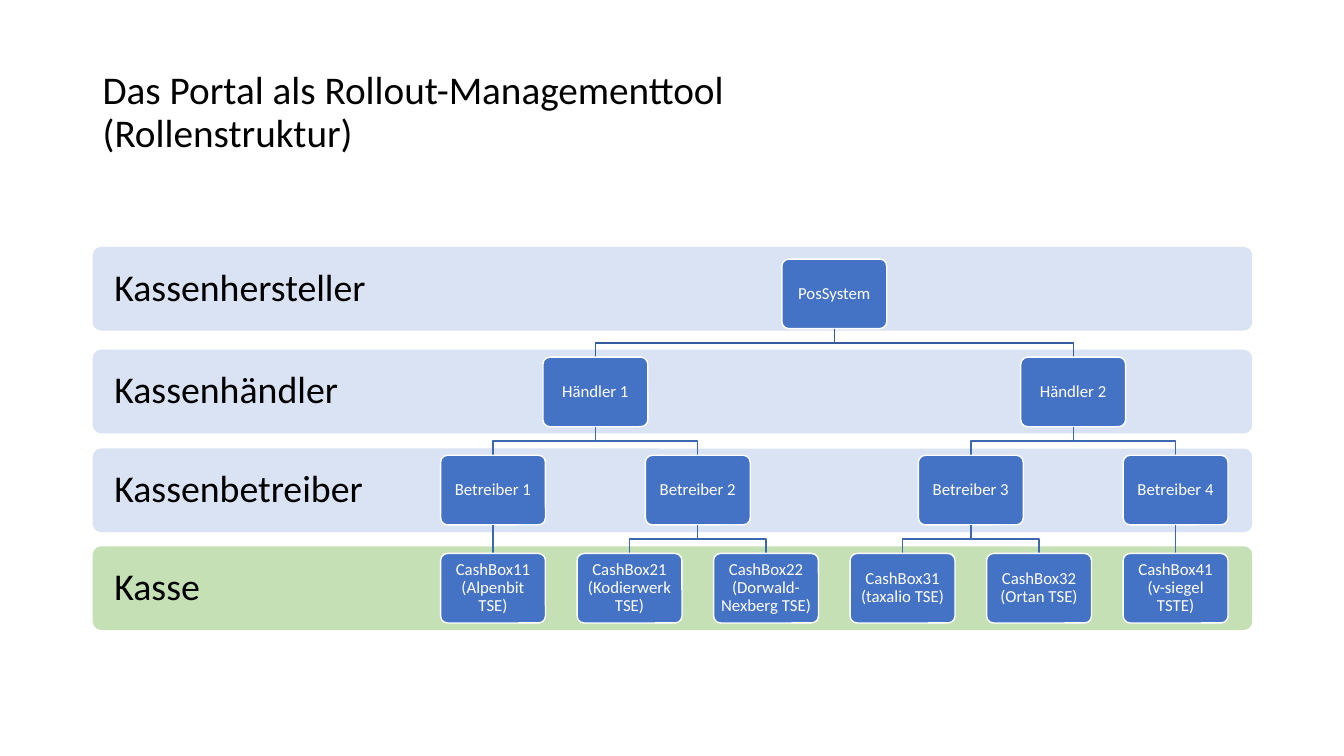
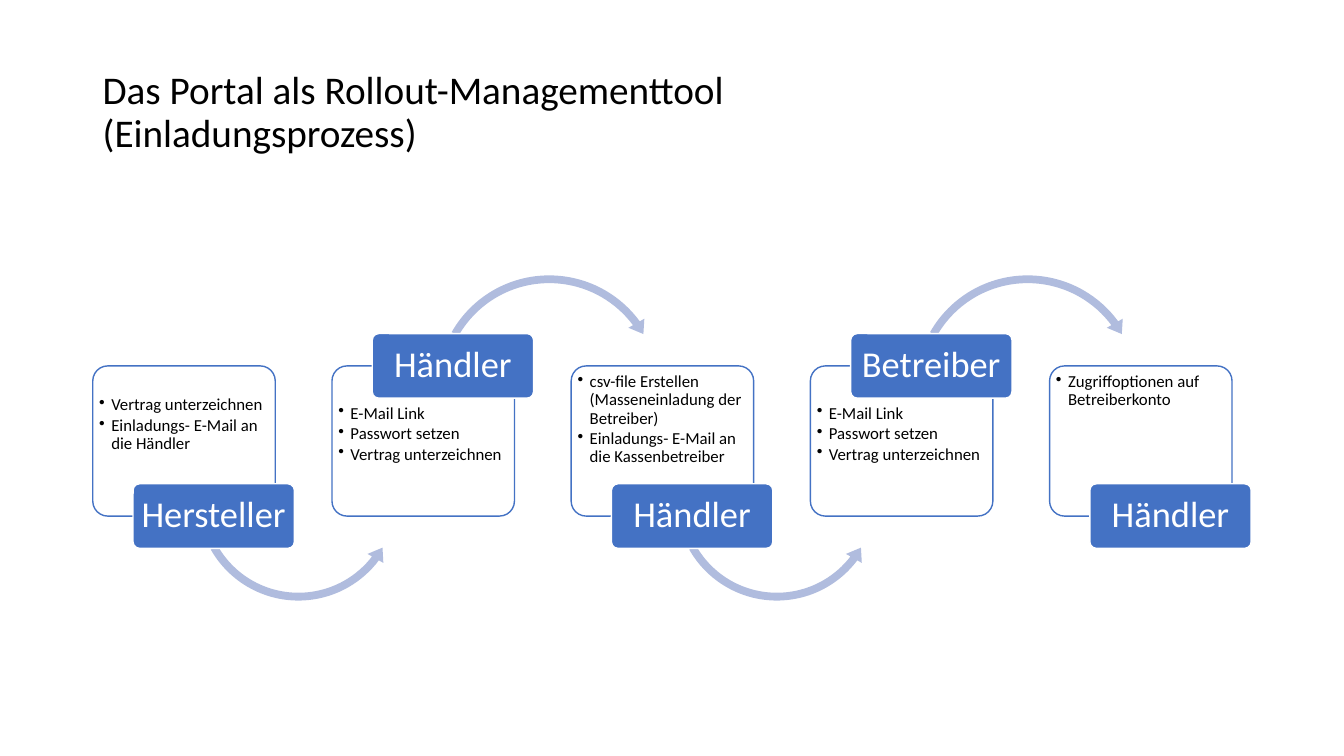
"""Build two slides on a rollout portal: the role hierarchy and the invitation process."""
from lxml import etree
from pptx import Presentation
from pptx.dml.color import RGBColor
from pptx.enum.shapes import MSO_CONNECTOR, MSO_SHAPE
from pptx.enum.text import MSO_ANCHOR, PP_ALIGN
from pptx.oxml.ns import qn
from pptx.util import Inches, Pt

STRAIGHT = MSO_CONNECTOR.STRAIGHT
ROUNDED = MSO_SHAPE.ROUNDED_RECTANGLE
ARC_OVER = MSO_SHAPE.CIRCULAR_ARROW
ARC_UNDER = MSO_SHAPE.LEFT_CIRCULAR_ARROW
TOP, MIDDLE = MSO_ANCHOR.TOP, MSO_ANCHOR.MIDDLE
LEFT, CENTER = PP_ALIGN.LEFT, PP_ALIGN.CENTER

FONT = "Calibri"
COLORS = {
    "text": "000000",
    "white": "FFFFFF",
    "blue": "4472C4",
    "role band": "DAE3F3",
    "till band": "C5E0B4",
    "root line": "365B9D",
    "branch line": "3E67B2",
    "arc": "B0BCDE",
}
STYLES = {
    "title": dict(size=28, color="text", align=LEFT, anchor=MIDDLE, margins=(0.1, 0.05)),
    "band": dict(size=27, color="text", align=LEFT, anchor=MIDDLE, margins=(0.19, 0.19)),
    "node": dict(size=12, color="white", align=CENTER, anchor=MIDDLE, margins=(0.05, 0.05)),
    "badge": dict(size=26, color="white", align=CENTER, anchor=MIDDLE, margins=(0.05, 0.04)),
    "card": dict(size=12, color="text", align=LEFT, anchor=TOP, margins=(0.02, 0.03)),
}

LEFT_EDGE, CONTENT_WIDTH = 0.92, 11.5

ROLES_TITLE = "Das Portal als Rollout-Managementtool\n(Rollenstruktur)"
BANDS = [
    ("Kassenhersteller", 2.45, "role band"),
    ("Kassenhändler", 3.47, "role band"),
    ("Kassenbetreiber", 4.45, "role band"),
    ("Kasse", 5.42, "till band"),
]
BAND_HEIGHT = 0.83
ROLE_TREE = ("PosSystem", [
    ("Händler 1", [
        ("Betreiber 1", [("CashBox11 (Alpenbit TSE)", [])]),
        ("Betreiber 2", [
            ("CashBox21 (Kodierwerk TSE)", []),
            ("CashBox22 (Dorwald-Nexberg TSE)", []),
        ]),
    ]),
    ("Händler 2", [
        ("Betreiber 3", [
            ("CashBox31 (taxalio TSE)", []),
            ("CashBox32 (Ortan TSE)", []),
        ]),
        ("Betreiber 4", [("CashBox41 (v-siegel TSTE)", [])]),
    ]),
])
NODE_WIDTH, NODE_HEIGHT = 1.04, 0.69
FIRST_LEAF, LEAF_PITCH = 4.89, (11.66 - 4.89) / 5
FIRST_ROW, ROW_PITCH = 2.57, (5.49 - 2.57) / 3

PROCESS_TITLE = "Das Portal als Rollout-Managementtool\n(Einladungsprozess)"
RECEIVER_TASKS = ["E-Mail Link", "Passwort setzen", "Vertrag unterzeichnen"]
STEPS = [
    ("Hersteller", "below", 0.26,
     ["Vertrag unterzeichnen", "Einladungs- E-Mail an die Händler"]),
    ("Händler", "above", 0.34, RECEIVER_TASKS),
    ("Händler", "below", 0.03,
     ["csv-file Erstellen (Masseneinladung der Betreiber)",
      "Einladungs- E-Mail an die Kassenbetreiber"]),
    ("Betreiber", "above", 0.34, RECEIVER_TASKS),
    ("Händler", "below", 0.03, ["Zugriffoptionen auf Betreiberkonto"]),
]
BADGE_TOPS = {"below": 4.8, "above": 3.31}
ARCS = {
    "below": (ARC_UNDER, 3.91, 2.1, (0.037, 4.574, 22.329, 90.245, 0.043)),
    "above": (ARC_OVER, 2.68, 2.33, (0.033, 4.086, 194.159, 125.755, 0.039)),
}
STEP_PITCH = (10.41 - LEFT_EDGE) / 4
CARD_TOP, CARD_WIDTH, CARD_HEIGHT = 3.63, 1.81, 1.49
BADGE_WIDTH, BADGE_HEIGHT = 1.6, 0.64
BADGE_OFFSET, ARC_OFFSET = 0.4, 0.99


def rgb(name):
    return RGBColor.from_string(COLORS[name])


def write(shape, style_name, lines, top_margin=None):
    style = STYLES[style_name]
    side, vertical = style["margins"]
    frame = shape.text_frame
    frame_format = {
        "word_wrap": True,
        "vertical_anchor": style["anchor"],
        "margin_left": Inches(side),
        "margin_right": Inches(side),
        "margin_top": Inches(vertical if top_margin is None else top_margin),
        "margin_bottom": Inches(vertical),
    }
    for name, value in frame_format.items():
        setattr(frame, name, value)
    font_format = {"name": FONT, "size": Pt(style["size"])}
    for index, line in enumerate(lines):
        paragraph = frame.add_paragraph() if index else frame.paragraphs[0]
        paragraph.text = line
        paragraph.alignment = style["align"]
        paragraph.line_spacing = 0.9
        for run in paragraph.runs:
            for name, value in font_format.items():
                setattr(run.font, name, value)
            run.font.color.rgb = rgb(style["color"])


def add_bullets(shape):
    for paragraph in shape.text_frame.paragraphs:
        paragraph.space_after = Pt(1.8)
        properties = paragraph._p.get_or_add_pPr()
        properties.set("marL", str(Inches(0.12)))
        properties.set("indent", str(-Inches(0.12)))
        etree.SubElement(properties, qn("a:buChar")).set("char", "•")


def add_block(slide, kind, box, fill, line=None, adjustments=(0.1,)):
    shape = slide.shapes.add_shape(kind, *map(Inches, box))
    shape.shadow.inherit = False
    for index, value in enumerate(adjustments):
        shape.adjustments[index] = value
    shape.fill.solid()
    shape.fill.fore_color.rgb = rgb(fill)
    if line:
        shape.line.color.rgb = rgb(line)
        shape.line.width = Pt(1)
    else:
        shape.line.fill.background()
    return shape


def add_titled_slide(presentation, title):
    slide = presentation.slides.add_slide(presentation.slide_layouts[6])
    box = slide.shapes.add_textbox(*map(Inches, (LEFT_EDGE, 0.4, CONTENT_WIDTH, 1.45)))
    write(box, "title", [title])
    return slide


def add_branch(slide, start, end, color):
    (start_x, start_y), (end_x, end_y) = [tuple(map(Inches, point)) for point in (start, end)]
    if start_x == end_x:
        branch = slide.shapes.add_connector(STRAIGHT, start_x, start_y, end_x, end_y)
        etree.SubElement(branch._element.spPr, qn("a:effectLst"))
    else:
        middle_y = (start_y + end_y) // 2
        builder = slide.shapes.build_freeform(start_x, start_y)
        builder.add_line_segments(
            [(start_x, middle_y), (end_x, middle_y), (end_x, end_y)], close=False)
        branch = builder.convert_to_shape()
        branch.shadow.inherit = False
        branch.fill.background()
    branch.line.color.rgb = rgb(color)
    branch.line.width = Pt(1)


def place(node, leaf_centers, level=0):
    """Return the node as (label, center, top, children), parents centred over children."""
    label, children = node
    placed = [place(child, leaf_centers, level + 1) for child in children]
    center = (placed[0][1] + placed[-1][1]) / 2 if placed else next(leaf_centers)
    return label, center, FIRST_ROW + level * ROW_PITCH, placed


def draw_tree(slide, node, line_color="root line"):
    label, center, top, children = node
    box = (center - NODE_WIDTH / 2, top, NODE_WIDTH, NODE_HEIGHT)
    write(add_block(slide, ROUNDED, box, "blue", "white"), "node", [label])
    for child in children:
        add_branch(slide, (center, top + NODE_HEIGHT), (child[1], child[2]), line_color)
        draw_tree(slide, child, "branch line")


def build_roles(presentation):
    slide = add_titled_slide(presentation, ROLES_TITLE)
    for label, top, color in BANDS:
        box = (LEFT_EDGE, top, CONTENT_WIDTH, BAND_HEIGHT)
        write(add_block(slide, ROUNDED, box, color), "band", [label])
    leaf_centers = (FIRST_LEAF + index * LEAF_PITCH for index in range(6))
    draw_tree(slide, place(ROLE_TREE, leaf_centers))


def build_process(presentation):
    slide = add_titled_slide(presentation, PROCESS_TITLE)
    for index, (role, side, top_margin, tasks) in enumerate(STEPS):
        left = LEFT_EDGE + index * STEP_PITCH
        card = add_block(slide, ROUNDED, (left, CARD_TOP, CARD_WIDTH, CARD_HEIGHT),
                         "white", "blue")
        write(card, "card", tasks, top_margin)
        add_bullets(card)
        if index < len(STEPS) - 1:
            kind, top, size, adjustments = ARCS[side]
            add_block(slide, kind, (left + ARC_OFFSET, top, size, size), "arc",
                      adjustments=adjustments)
        badge_box = (left + BADGE_OFFSET, BADGE_TOPS[side], BADGE_WIDTH, BADGE_HEIGHT)
        write(add_block(slide, ROUNDED, badge_box, "blue", "white"), "badge", [role])


def main():
    presentation = Presentation()
    presentation.slide_width = Inches(13.33)
    presentation.slide_height = Inches(7.5)
    build_roles(presentation)
    build_process(presentation)
    presentation.save("out.pptx")


if __name__ == "__main__":
    main()
